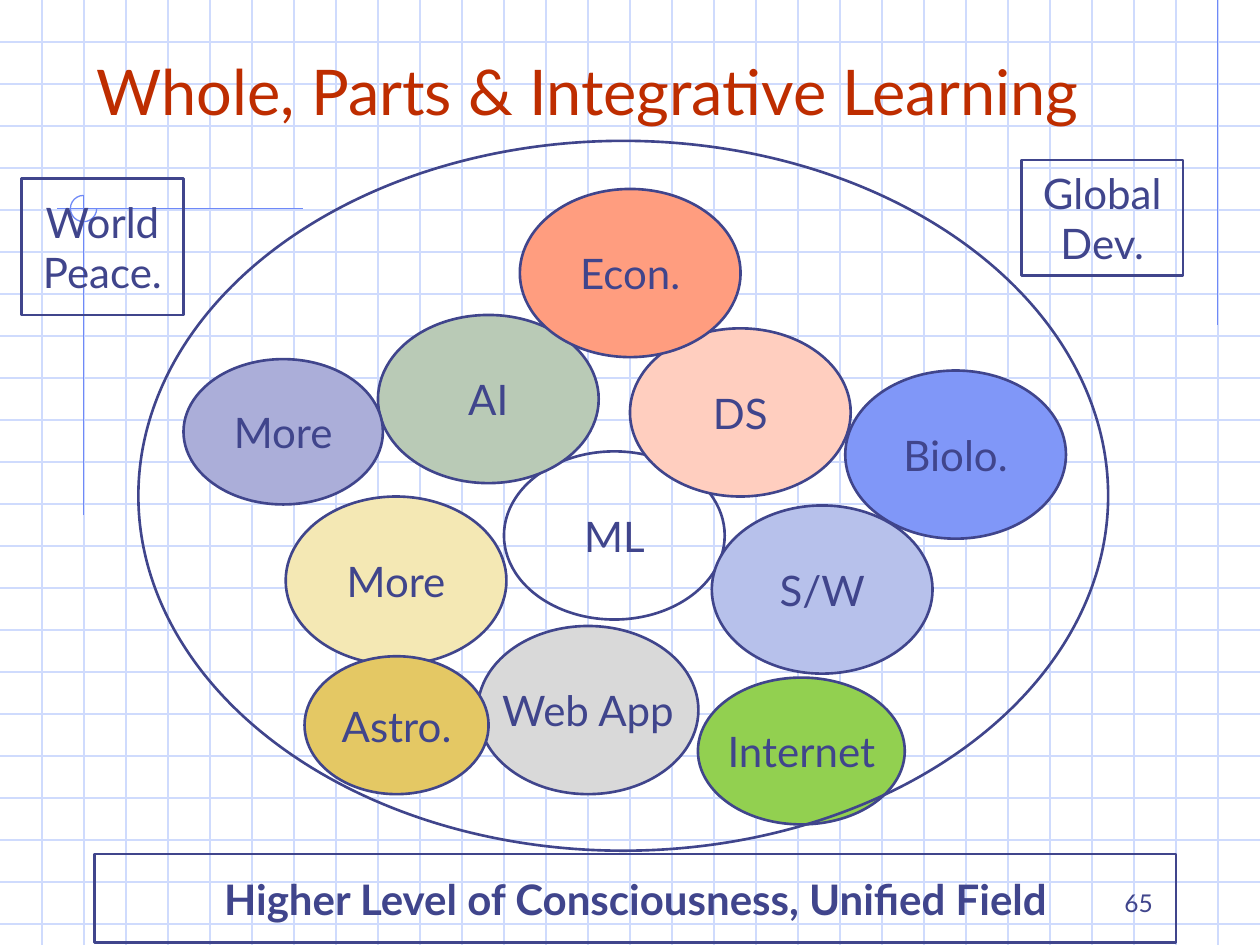
from dataclasses import dataclass

from lxml.etree import SubElement
from pptx import Presentation
from pptx.dml.color import RGBColor
from pptx.enum.shapes import MSO_CONNECTOR as Link, MSO_SHAPE as Kind
from pptx.enum.text import MSO_ANCHOR as Anchor, PP_ALIGN as Align
from pptx.oxml.ns import qn
from pptx.util import Cm, Pt


@dataclass(frozen=True)
class Theme:
    font: str = "Lato"
    ink: str = "40458C"
    head: str = "BE2D00"
    grid: str = "CFDBFD"
    rule: str = "6F89F7"
    title: int = 36
    label: int = 24
    page: int = 14
    thin: float = 0.75
    thick: float = 1.5


theme = Theme()
rgb = RGBColor.from_string
wide, high = 25.4, 19.05

deck = Presentation()
deck.slide_width, deck.slide_height = Cm(wide), Cm(high)
slide = deck.slides.add_slide(deck.slide_layouts[5])
shapes = slide.shapes


def draw_rule(x1, y1, x2, y2, color):
    line = shapes.add_connector(Link.STRAIGHT, Cm(x1), Cm(y1), Cm(x2), Cm(y2))
    line.line.color.rgb = rgb(color)
    line.line.width = Pt(theme.thin)
    SubElement(line._element.spPr, qn("a:effectLst"))


def style(frame, text, size, color, align, anchor, bold=False):
    """Put text in a frame and format each of its paragraphs."""
    frame.text = text
    frame.vertical_anchor = anchor
    for para in frame.paragraphs:
        para.alignment = align
        para.font.name = theme.font
        para.font.size = Pt(size)
        para.font.bold = bold
        para.font.color.rgb = rgb(color)


# Graph paper
step = 2.54 / 3
for row in range(1, 23):
    draw_rule(0, row * step, wide, row * step, theme.grid)
for col in range(1, 30):
    draw_rule(col * step, 0, col * step, high, theme.grid)

# Margin rules and the small arc where two of them cross
draw_rule(24.55, 0, 24.55, 6.55, theme.rule)
draw_rule(6.1, 4.21, 1.14, 4.21, theme.rule)
draw_rule(1.69, 3.94, 1.69, 10.39, theme.rule)
arc = shapes.add_shape(Kind.ARC, Cm(1.42), Cm(3.94), Cm(0.53), Cm(0.53))
arc.shadow.inherit = False
arc.adjustments[0] = 0
arc.adjustments[1] = 162  # 270 degrees
arc.fill.background()
arc.line.color.rgb = rgb(theme.rule)
arc.line.width = Pt(theme.thin)

# Page number and title
page = shapes.add_textbox(Cm(18.21), Cm(17.35), Cm(5.28), Cm(1.27)).text_frame
page.word_wrap = True
style(page, "65", theme.page, theme.ink, Align.RIGHT, Anchor.BOTTOM)

title = shapes.title
title.left, title.top, title.width, title.height = Cm(1.7), Cm(0.84), Cm(21.59), Cm(1.88)
style(title.text_frame, "Whole, Parts & Integrative Learning",
      theme.title, theme.head, Align.LEFT, Anchor.BOTTOM)
shapes._spTree.append(title._element)  # in front of the grid

# Parts, the whole around them, and the outer boxes
oval, box = Kind.OVAL, Kind.RECTANGLE
big = (4.45, 3.39)
items = [
    (oval, "ML", 10.16, 9.1, big, None),
    (oval, "AI", 7.62, 6.35, big, "B9CAB6"),
    (oval, "DS", 12.7, 6.62, big, "FFCEBF"),
    (oval, "S/W", 14.35, 10.19, big, "B7C1EB"),
    (oval, "Web App", 9.63, 12.62, big, "D9D9D9"),
    (oval, "More", 5.76, 10.01, big, "F4E8B4"),
    (oval, "Econ.", 10.48, 3.81, big, "FF9D7F"),
    (oval, "More", 3.7, 7.24, (4.02, 2.93), "ABAED9"),
    (oval, "Biolo.", 17.04, 7.47, big, "8097F8"),
    (oval, "Internet", 14.07, 13.66, (4.17, 2.96), "92D050"),
    (oval, "Astro.", 6.14, 13.23, (3.71, 2.78), "E4C864"),
    (oval, "", 2.79, 2.84, (19.55, 14.31), None),
    (box, "Global\nDev.", 20.59, 3.23, (3.26, 2.33), None),
    (box, "World\nPeace.", 0.43, 3.6, (3.27, 2.75), None),
    (box, "Higher Level of Consciousness, Unified Field",
     1.91, 17.22, (21.8, 1.78), None),
]
for kind, text, left, top, (width, height), fill in items:
    part = shapes.add_shape(kind, Cm(left), Cm(top), Cm(width), Cm(height))
    part.shadow.inherit = False
    part.line.color.rgb = rgb(theme.ink)
    part.line.width = Pt(theme.thick)
    if fill:
        part.fill.solid()
        part.fill.fore_color.rgb = rgb(fill)
    else:
        part.fill.background()
    if text:
        part.text_frame.word_wrap = False
        style(part.text_frame, text, theme.label, theme.ink, Align.CENTER,
              Anchor.MIDDLE, bold=text.startswith("Higher"))

deck.save("out.pptx")
